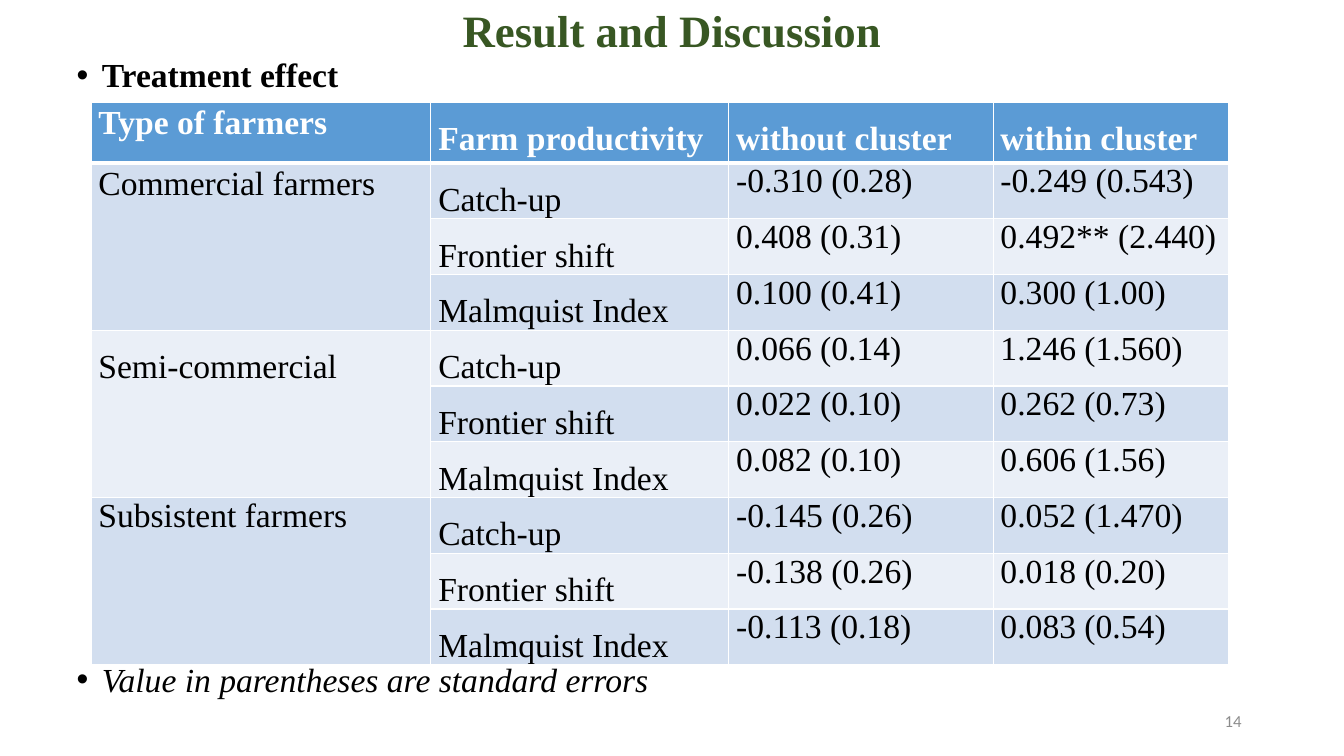
from dataclasses import dataclass

import lxml.etree
import pptx
import pptx.dml.color
import pptx.enum.text
import pptx.oxml.ns
import pptx.util

Pt = pptx.util.Pt
ALIGN = pptx.enum.text.PP_ALIGN
ANCHOR = pptx.enum.text.MSO_ANCHOR
COLORS = {
    "title": "385723", "text": "000000", "number": "8C8C8C", "white": "FFFFFF",
    "header": "5B9BD5", "dark_band": "D2DEEF", "light_band": "EAEFF7",
}
SERIF = "Times New Roman"
HEADINGS = ["Type of farmers", "Farm productivity", "without cluster", "within cluster"]
MEASURES = ["Catch-up", "Frontier shift", "Malmquist Index"]
COLUMN_WIDTHS = [242.8, 212.8, 188.8, 168]
HEADER_HEIGHT = 43.2
ROW_HEIGHT = 39.8


@dataclass
class FarmerGroup:
    name: str
    line_spacing: float
    effects: list[tuple[str, str]]


@dataclass
class TextStyle:
    size: float = 24
    color: str = "text"
    bold: bool = False
    italic: bool = False
    font: str = SERIF
    align: ALIGN = ALIGN.LEFT
    line_spacing: float = 1.0


GROUPS = [
    FarmerGroup("Commercial farmers", 1.07, [
        ("-0.310 (0.28)", "-0.249 (0.543)"),
        ("0.408 (0.31)", "0.492** (2.440)"),
        ("0.100 (0.41)", "0.300 (1.00)")]),
    FarmerGroup("Semi-commercial", 1.5, [
        ("0.066 (0.14)", "1.246 (1.560)"),
        ("0.022 (0.10)", "0.262 (0.73)"),
        ("0.082 (0.10)", "0.606 (1.56)")]),
    FarmerGroup("Subsistent farmers", 1.0, [
        ("-0.145 (0.26)", "0.052 (1.470)"),
        ("-0.138 (0.26)", "0.018 (0.20)"),
        ("-0.113 (0.18)", "0.083 (0.54)")]),
]


def rgb(name: str) -> pptx.dml.color.RGBColor:
    return pptx.dml.color.RGBColor.from_string(COLORS[name])


def format_paragraph(para, style: TextStyle) -> None:
    para.alignment = style.align
    para.line_spacing = style.line_spacing
    for span in para.runs:
        span.font.name = style.font
        span.font.size = Pt(style.size)
        span.font.bold = style.bold
        span.font.italic = style.italic
        span.font.color.rgb = rgb(style.color)


def place(box, left: float, top: float, width: float, height: float, anchor: ANCHOR) -> None:
    box.left, box.top, box.width, box.height = Pt(left), Pt(top), Pt(width), Pt(height)
    box.text_frame.word_wrap = True
    box.text_frame.auto_size = pptx.enum.text.MSO_AUTO_SIZE.NONE
    box.text_frame.vertical_anchor = anchor


def add_border(cell, side: str, width: float) -> None:
    name = pptx.oxml.ns.qn
    line = lxml.etree.SubElement(cell._tc.get_or_add_tcPr(), name(f"a:ln{side}"), w=str(Pt(width)))
    fill = lxml.etree.SubElement(line, name("a:solidFill"))
    lxml.etree.SubElement(fill, name("a:srgbClr"), val=COLORS["white"])


def format_cell(cell, row: int, fill: str) -> None:
    cell.margin_left = cell.margin_right = Pt(5.3)
    cell.margin_top = cell.margin_bottom = 0
    widths = {"L": 1, "R": 1, "T": 3 if row == 1 else 1, "B": 3 if row == 0 else 1}
    for side, width in widths.items():
        add_border(cell, side, width)
    cell.fill.solid()
    cell.fill.fore_color.rgb = rgb(fill)


def write_cell(cell, text: str, style: TextStyle) -> None:
    cell.text_frame.text = text
    format_paragraph(cell.text_frame.paragraphs[0], style)


def add_effect_table(page) -> None:
    row_count = 1 + len(GROUPS) * len(MEASURES)
    height = HEADER_HEIGHT + ROW_HEIGHT * (row_count - 1)
    table = page.shapes.add_table(
        row_count, len(HEADINGS), Pt(65), Pt(73.2), Pt(sum(COLUMN_WIDTHS)), Pt(height)).table
    for column, width in zip(table.columns, COLUMN_WIDTHS):
        column.width = Pt(width)
    for index, row in enumerate(table.rows):
        row.height = Pt(ROW_HEIGHT if index else HEADER_HEIGHT)
        band = "dark_band" if index % 2 else "light_band"
        for cell in row.cells:
            format_cell(cell, index, band if index else "header")

    for column, heading in enumerate(HEADINGS):
        write_cell(table.cell(0, column), heading, TextStyle(
            color="white", bold=True, align=ALIGN.JUSTIFY, line_spacing=1.5 if column else 1.07))
    for number, group in enumerate(GROUPS):
        first = 1 + number * len(MEASURES)
        name_cell = table.cell(first, 0)
        name_cell.merge(table.cell(first + len(MEASURES) - 1, 0))
        write_cell(name_cell, group.name,
                   TextStyle(align=ALIGN.JUSTIFY, line_spacing=group.line_spacing))
        for row, (measure, effects) in enumerate(zip(MEASURES, group.effects), first):
            write_cell(table.cell(row, 1), measure,
                       TextStyle(align=ALIGN.JUSTIFY, line_spacing=1.5))
            for column, effect in enumerate(effects, 2):
                write_cell(table.cell(row, column), effect, TextStyle())


deck = pptx.Presentation()
deck.slide_width, deck.slide_height = Pt(960), Pt(540)
page = deck.slides.add_slide(deck.slide_layouts[1])

title = page.shapes.title
place(title, 66, 8.6, 828, 30.2, ANCHOR.MIDDLE)
title.text_frame.text = "Result and Discussion"
format_paragraph(title.text_frame.paragraphs[0], TextStyle(
    size=32, color="title", bold=True, align=ALIGN.CENTER, line_spacing=0.9))

body = page.placeholders[1]
place(body, 47.5, 38.2, 846.7, 501.8, ANCHOR.TOP)
body.text_frame.text = "Treatment effect\nValue in parentheses are standard errors"
heading, footnote = body.text_frame.paragraphs
format_paragraph(heading, TextStyle(bold=True, line_spacing=0.9))
format_paragraph(footnote, TextStyle(italic=True, line_spacing=0.9))
heading.space_before = Pt(10)
footnote.space_before = Pt(406)
for para in (heading, footnote):
    properties = para._p.get_or_add_pPr()
    properties.set("marL", str(Pt(18)))
    properties.set("indent", str(Pt(-18)))

page_number = page.shapes.add_textbox(0, 0, 0, 0)
place(page_number, 678, 500.5, 216, 28.8, ANCHOR.MIDDLE)
page_number.text_frame.text = "14"
format_paragraph(page_number.text_frame.paragraphs[0], TextStyle(
    size=12, color="number", font="Calibri", align=ALIGN.RIGHT))

add_effect_table(page)
deck.save("out.pptx")
